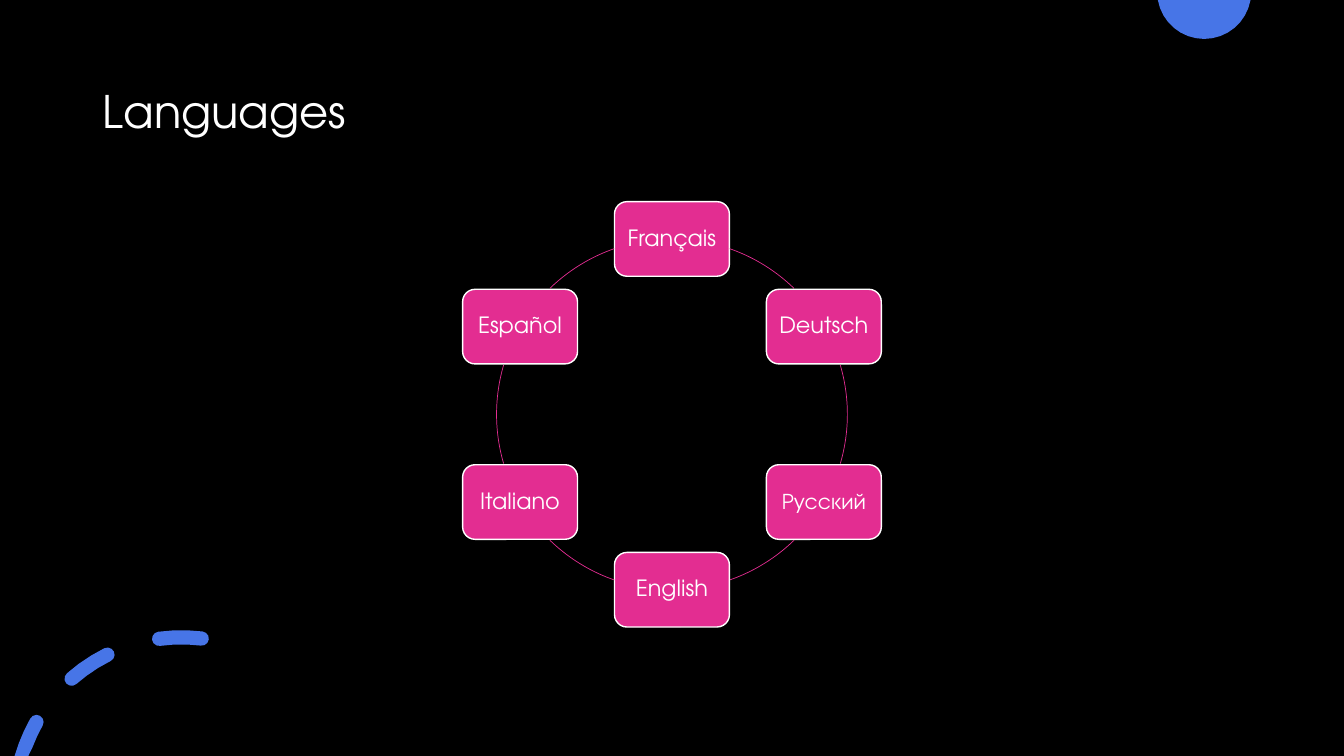
from math import cos, radians, sin
from typing import NamedTuple

from pptx import Presentation
from pptx.dml.color import RGBColor
from pptx.enum.shapes import MSO_SHAPE
from pptx.enum.text import MSO_ANCHOR, PP_ALIGN
from pptx.slide import Slide
from pptx.text.text import TextFrame
from pptx.util import Inches, Pt

SLIDE_WIDTH, SLIDE_HEIGHT = Inches(13.333), Inches(7.5)
COLUMNS = 100
CELL = SLIDE_WIDTH / COLUMNS
ROWS = SLIDE_HEIGHT / CELL

BLACK = RGBColor(0x00, 0x00, 0x00)
WHITE = RGBColor(0xFF, 0xFF, 0xFF)
PINK = RGBColor(0xE3, 0x2D, 0x91)
BLUE = RGBColor(0x47, 0x75, 0xE7)
FONT = "TeX Gyre Adventor"

ARC, ROUNDED = MSO_SHAPE.ARC, MSO_SHAPE.ROUNDED_RECTANGLE
LEFT, CENTER = PP_ALIGN.LEFT, PP_ALIGN.CENTER
MIDDLE = MSO_ANCHOR.MIDDLE

BOX_WIDTH, BOX_HEIGHT, BOX_MARGIN = 8.55, 5.55, 0.5
ARC_UNITS_PER_DEGREE = 0.6


class Point(NamedTuple):
    column: float
    row: float


class Circle(NamedTuple):
    center: Point
    radius: float

    def at(self, degrees: float) -> Point:
        angle = radians(degrees)
        return Point(self.center.column + self.radius * cos(angle),
                     self.center.row + self.radius * sin(angle))


class Sweep(NamedTuple):
    start: float
    end: float

    def along(self, circle: Circle, count: int) -> list[Point]:
        step = (self.end - self.start) / count
        return [circle.at(self.start + step * i) for i in range(count + 1)]


class Language(NamedTuple):
    name: str
    next_link: Sweep


RING = Circle(Point(50, 30.83), 13.05)
LANGUAGES = [
    Language("Français", Sweep(289.2, 314.1)),
    Language("Deutsch", Sweep(343.7, 16.3)),
    Language("Русский", Sweep(45.9, 70.8)),
    Language("English", Sweep(109.2, 134.1)),
    Language("Italiano", Sweep(163.7, 196.3)),
    Language("Español", Sweep(225.9, 250.8)),
]

SUN = Circle(Point(89.6, -0.6), 3.5)
SUN_VISIBLE = Sweep(9.87, 170.13)
DASH_TRACK = Circle(Point(13.5, 59.8), 12.38)
DASH_HALF_WIDTH = 0.53
DASHES = [Sweep(195.9, 209.4), Sweep(228.7, 243.6), Sweep(262.3, 277)]


def cells(*lengths: float) -> list[int]:
    return [round(length * CELL) for length in lengths]


def write(frame: TextFrame, words: str, size: int, alignment: PP_ALIGN) -> None:
    frame.word_wrap = True
    frame.vertical_anchor = MIDDLE
    frame.text = words
    paragraph = frame.paragraphs[0]
    paragraph.alignment = alignment
    paragraph.line_spacing = 0.9
    paragraph.font.name = FONT
    paragraph.font.size = Pt(size)
    paragraph.font.color.rgb = WHITE


def draw_outlines(slide: Slide, outlines: list[list[Point]]) -> None:
    builder = slide.shapes.build_freeform(*cells(*outlines[0][0]))
    for outline in outlines:
        first, *rest = [cells(column, min(max(row, 0), ROWS)) for column, row in outline]
        builder.move_to(*first)
        builder.add_line_segments(rest, close=True)
    ornament = builder.convert_to_shape()
    ornament.shadow.inherit = False
    ornament.fill.solid()
    ornament.fill.fore_color.rgb = BLUE
    ornament.line.fill.background()


def dash_outline(sweep: Sweep) -> list[Point]:
    start, end = sweep
    center, radius = DASH_TRACK
    outer = Circle(center, radius + DASH_HALF_WIDTH)
    inner = Circle(center, radius - DASH_HALF_WIDTH)
    end_cap = Circle(DASH_TRACK.at(end), DASH_HALF_WIDTH)
    start_cap = Circle(DASH_TRACK.at(start), DASH_HALF_WIDTH)
    return (sweep.along(outer, 3)
            + Sweep(end, end + 180).along(end_cap, 6)[1:-1]
            + Sweep(end, start).along(inner, 3)
            + Sweep(start + 180, start + 360).along(start_cap, 6)[1:-1])


def draw_link(slide: Slide, sweep: Sweep) -> None:
    (column, row), radius = RING
    link = slide.shapes.add_shape(
        ARC, *cells(column - radius, row - radius, 2 * radius, 2 * radius))
    link.adjustments[0] = sweep.start * ARC_UNITS_PER_DEGREE
    link.adjustments[1] = sweep.end * ARC_UNITS_PER_DEGREE
    link.shadow.inherit = False
    link.fill.background()
    link.line.color.rgb = PINK
    link.line.width = Pt(0.5)


def draw_language(slide: Slide, name: str, center: Point) -> None:
    box = slide.shapes.add_shape(
        ROUNDED, *cells(center.column - BOX_WIDTH / 2, center.row - BOX_HEIGHT / 2,
                        BOX_WIDTH, BOX_HEIGHT))
    box.shadow.inherit = False
    box.fill.solid()
    box.fill.fore_color.rgb = PINK
    box.line.color.rgb = WHITE
    box.line.width = Pt(1)
    frame = box.text_frame
    frame.margin_left, frame.margin_right = cells(BOX_MARGIN, BOX_MARGIN)
    write(frame, name, 16, CENTER)


def main() -> None:
    presentation = Presentation()
    presentation.slide_width, presentation.slide_height = SLIDE_WIDTH, SLIDE_HEIGHT
    slide = presentation.slides.add_slide(presentation.slide_layouts[5])
    slide.background.fill.solid()
    slide.background.fill.fore_color.rgb = BLACK

    title = slide.shapes.title
    title.left, title.top, title.width, title.height = cells(6.9, 3, 86.25, 10.9)
    write(title.text_frame, "Languages", 32, LEFT)

    draw_outlines(slide, [SUN_VISIBLE.along(SUN, 16)])
    draw_outlines(slide, [dash_outline(dash) for dash in DASHES])

    step = 360 / len(LANGUAGES)
    for position, language in enumerate(LANGUAGES):
        draw_language(slide, language.name, RING.at(position * step - 90))
        draw_link(slide, language.next_link)

    presentation.save("out.pptx")


if __name__ == "__main__":
    main()
